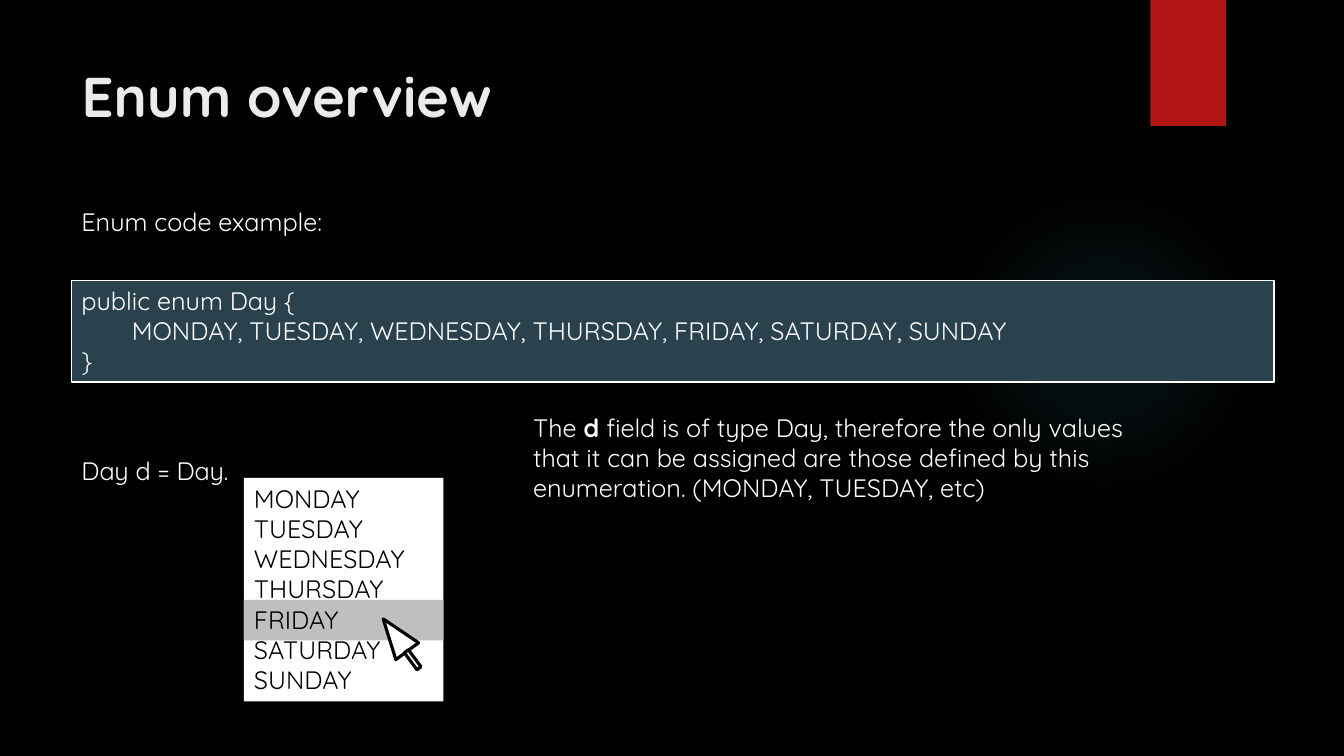
"""Builds a slide that explains a Java style enum with a code box and a drop-down list."""
from dataclasses import dataclass

from lxml.etree import SubElement
from pptx import Presentation
from pptx.dml.color import RGBColor
from pptx.enum.shapes import MSO_SHAPE
from pptx.enum.text import MSO_ANCHOR, MSO_AUTO_SIZE, PP_ALIGN
from pptx.oxml.ns import qn
from pptx.util import Pt


@dataclass(frozen=True)
class Theme:
    font: str = "Quicksand"
    title_size: float = 40
    text_size: float = 18
    background: str = "000000"
    title: str = "EBEBEB"
    light: str = "FFFFFF"
    dark: str = "000000"
    code: str = "2A424D"
    highlight: str = "BFBFBF"
    accent: str = "B01513"
    glow: str = "50B9C1"


class SlideBuilder:
    def __init__(self, slide, theme):
        self.slide = slide
        self.theme = theme
        slide.background.fill.solid()
        slide.background.fill.fore_color.rgb = RGBColor.from_string(theme.background)

    def fill_text(self, box, paragraphs, color, size=None, bold=False,
                  anchor=MSO_ANCHOR.TOP, indents=()):
        frame = box.text_frame
        frame.word_wrap = True
        frame.auto_size = MSO_AUTO_SIZE.NONE
        frame.vertical_anchor = anchor
        for index, runs in enumerate(paragraphs):
            para = frame.paragraphs[0] if index == 0 else frame.add_paragraph()
            para.alignment = PP_ALIGN.LEFT
            para.space_before = para.space_after = Pt(0)
            properties = para._p.get_or_add_pPr()
            properties.set("marL", str(Pt(indents[index] if indents else 0)))
            properties.set("indent", "0")
            SubElement(properties, qn("a:buNone"))
            for text, strong in runs:
                span = para.add_run()
                span.text = text
                span.font.name = self.theme.font
                span.font.size = Pt(size or self.theme.text_size)
                span.font.bold = bold or strong
                span.font.color.rgb = RGBColor.from_string(color)

    def placeholder(self, index, bounds, fill=None):
        box = self.slide.placeholders[index]
        box.left, box.top, box.width, box.height = map(Pt, bounds)
        if fill:
            box.fill.solid()
            box.fill.fore_color.rgb = RGBColor.from_string(fill)
        return box

    def text(self, bounds, paragraphs):
        box = self.slide.shapes.add_textbox(*map(Pt, bounds))
        self.fill_text(box, paragraphs, self.theme.light)

    def shape(self, kind, bounds, fill, line=None, line_width=1, rotation=0):
        shape = self.slide.shapes.add_shape(kind, *map(Pt, bounds))
        shape.shadow.inherit = False
        shape.rotation = rotation
        shape.fill.solid()
        shape.fill.fore_color.rgb = RGBColor.from_string(fill)
        if line:
            shape.line.color.rgb = RGBColor.from_string(line)
            shape.line.width = Pt(line_width)
        else:
            shape.line.fill.background()
        return shape

    def glow(self, bounds, stops):
        shape = self.shape(MSO_SHAPE.OVAL, bounds, self.theme.glow)
        solid = shape._element.spPr.find(qn("a:solidFill"))
        gradient = solid.makeelement(qn("a:gradFill"))
        stop_list = SubElement(gradient, qn("a:gsLst"))
        for position, opacity in stops:
            stop = SubElement(stop_list, qn("a:gs"), pos=str(position * 1000))
            color = SubElement(stop, qn("a:srgbClr"), val=self.theme.glow)
            SubElement(color, qn("a:alpha"), val=str(opacity * 1000))
        radial = SubElement(gradient, qn("a:path"), path="circle")
        SubElement(radial, qn("a:fillToRect"), l="50000", t="50000", r="50000", b="50000")
        solid.getparent().replace(solid, gradient)


def plain(*lines):
    return [[(line, False)] for line in lines]


deck = Presentation()
deck.slide_width, deck.slide_height = Pt(960), Pt(540)
theme = Theme()
page = SlideBuilder(deck.slides.add_slide(deck.slide_layouts[1]), theme)

left, content_width, line_height = 51.1, 859, 29
days = ["MONDAY", "TUESDAY", "WEDNESDAY", "THURSDAY", "FRIDAY", "SATURDAY", "SUNDAY"]
list_left, list_top, list_width = 174.2, 341.3, 142.6

page.glow((677.5, 131.8, 221.8, 221.8), [(0, 7), (36, 6), (69, 0), (100, 0)])
page.shape(MSO_SHAPE.RECTANGLE, (821.8, 0, 54, 90), theme.accent)

title = page.placeholder(0, (left, 36, 774.7, 63.4))
page.fill_text(title, plain("Enum overview"), theme.title, theme.title_size, True, MSO_ANCHOR.MIDDLE)

code = page.shape(MSO_SHAPE.RECTANGLE, (left, 200.2, content_width, 72.7), theme.code, theme.light)
page.fill_text(code, plain("public enum Day {", ", ".join(days), "}"), theme.light, indents=(0, 36, 0))

page.text((left, 144, content_width, line_height), plain("Enum code example:"))
page.text((left, 321.8, 131.8, line_height), plain("Day d = Day."))
page.text((373.7, 290.9, 445, 72.7), [[
    ("The ", False),
    ("d ", True),
    ("field is of type Day, therefore the only values that it can be assigned "
     "are those defined by this enumeration. (MONDAY, TUESDAY, etc)", False),
]])

day_list = page.placeholder(1, (list_left, list_top, list_width, 159.8), theme.light)
page.fill_text(day_list, plain(*days), theme.dark)
selected = page.shape(MSO_SHAPE.RECTANGLE, (list_left, 428.4, list_width, line_height), theme.highlight)
page.fill_text(selected, plain("FRIDAY"), theme.dark)

for kind, bounds in [
    (MSO_SHAPE.ISOSCELES_TRIANGLE, (272.2, 439.2, 20.2, 28.8)),
    (MSO_SHAPE.RECTANGLE, (293, 463.7, 3.6, 15.1)),
]:
    page.shape(kind, bounds, theme.light, theme.dark, 2.25, 323.4)

deck.save("out.pptx")
